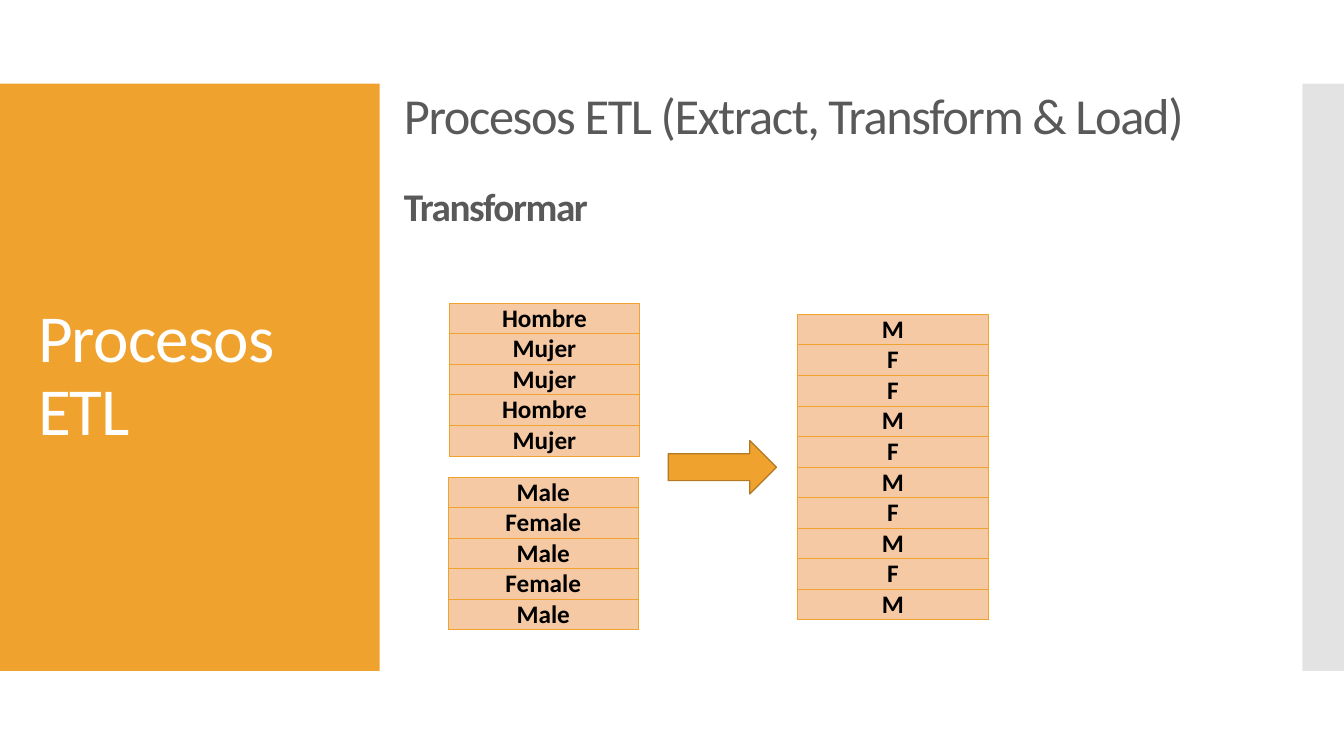
from lxml import etree
from pptx import Presentation
from pptx.dml.color import RGBColor
from pptx.enum import shapes, text
from pptx.oxml import ns
from pptx.util import Cm, Pt

ORANGE = RGBColor(0xF0, 0xA2, 0x2E)
DARK_ORANGE = RGBColor(0xB2, 0x78, 0x22)
PEACH = RGBColor(0xF5, 0xC9, 0xA4)
SILVER = RGBColor(0xC8, 0xC8, 0xC8)
GREY = RGBColor(0x59, 0x59, 0x59)
WHITE = RGBColor(0xFF, 0xFF, 0xFF)
BLACK = RGBColor(0, 0, 0)

TITLE = {"size": Pt(48), "color": WHITE, "spc": -60}
HEADING = {"size": Pt(36), "color": GREY, "spc": -100}
SUBHEADING = {"size": Pt(28), "color": GREY, "spc": -100, "bold": True}
CELL = {"size": Pt(18), "color": BLACK, "bold": True}

ROW_HEIGHT = 0.77
SPANISH = ["Hombre", "Mujer", "Mujer", "Hombre", "Mujer"]
ENGLISH = ["Male", "Female", "Male", "Female", "Male"]
CODES = list("MFFMFMFMFM")


def write(p, words, style):
    r = p.add_run()
    r.text = words
    r.font.name = "Calibri"
    for key, value in style.items():
        if key == "color":
            r.font.color.rgb = value
        elif key == "spc":
            r._r.get_or_add_rPr().set("spc", str(value))
        else:
            setattr(r.font, key, value)


def add_text(slide, box, words, style, **paragraph):
    tf = slide.shapes.add_textbox(*map(Cm, box)).text_frame
    tf.word_wrap = True
    p = tf.paragraphs[0]
    for key, value in paragraph.items():
        setattr(p, key, value)
    write(p, words, style)
    return tf


def add_filled(slide, kind, box, color):
    sp = slide.shapes.add_shape(kind, *map(Cm, box))
    sp.shadow.inherit = False
    sp.fill.solid()
    sp.fill.fore_color.rgb = color
    sp.line.fill.background()
    return sp


def add_side_panel(slide, left, top, width, height):
    add_filled(slide, shapes.MSO_SHAPE.RECTANGLE, (left, top, width, height), ORANGE)
    box = (left + 0.71, top + 1.02, width - 1, height - 2.04)
    tf = add_text(slide, box, "Procesos ETL", TITLE, line_spacing=0.9)
    tf.vertical_anchor = text.MSO_ANCHOR.MIDDLE


def add_edge_strip(slide, *box):
    sp = add_filled(slide, shapes.MSO_SHAPE.RECTANGLE, box, SILVER)
    color = sp.fill._xPr.find(".//" + ns.qn("a:srgbClr"))
    etree.SubElement(color, ns.qn("a:alpha"), val="50000")


def add_headings(slide, left, top, width, height):
    add_text(slide, (left, top, width - 0.97, 2.34),
             "Procesos ETL (Extract, Transform & Load)", HEADING, line_spacing=1.5)
    add_text(slide, (left, top + 3.23, width, height - 3.23), "Transformar",
             SUBHEADING, alignment=text.PP_ALIGN.JUSTIFY)


def add_borders(cell):
    tc_pr = cell._tc.get_or_add_tcPr()
    for i, side in enumerate(("lnL", "lnR", "lnT", "lnB")):
        ln = etree.Element(ns.qn("a:" + side), w=str(Pt(0.75)))
        fill = etree.SubElement(ln, ns.qn("a:solidFill"))
        etree.SubElement(fill, ns.qn("a:srgbClr"), val=str(ORANGE))
        tc_pr.insert(i, ln)


def add_value_column(slide, left, top, width, values):
    box = (left, top, width, ROW_HEIGHT * len(values))
    table = slide.shapes.add_table(len(values), 1, *map(Cm, box)).table
    table.first_row = table.horz_banding = False
    for row, value in zip(table.rows, values):
        row.height = Cm(ROW_HEIGHT)
        cell = row.cells[0]
        for side in ("left", "right", "top", "bottom"):
            setattr(cell, "margin_" + side, 0)
        cell.vertical_anchor = text.MSO_ANCHOR.MIDDLE
        cell.fill.solid()
        cell.fill.fore_color.rgb = PEACH
        add_borders(cell)
        p = cell.text_frame.paragraphs[0]
        p.alignment = text.PP_ALIGN.CENTER
        write(p, value, CELL)


def add_mapping(slide, left, top, column_width):
    """Two source columns, an arrow, and the column of unified codes."""
    add_value_column(slide, left + 0.03, top, column_width, SPANISH)
    add_value_column(slide, left, top + 4.38, column_width, ENGLISH)
    add_value_column(slide, left + 8.81, top + 0.28, column_width, CODES)
    arrow = add_filled(slide, shapes.MSO_SHAPE.RIGHT_ARROW,
                       (left + 5.55, top + 3.46, 2.73, 1.35), ORANGE)
    arrow.line.color.rgb = DARK_ORANGE
    arrow.line.width = Pt(0.85)


def main():
    prs = Presentation()
    prs.slide_width, prs.slide_height = Cm(33.87), Cm(19.05)
    slide = prs.slides.add_slide(prs.slide_layouts[6])
    add_side_panel(slide, 0, 2.11, 9.57, 14.8)
    add_edge_strip(slide, 32.82, 2.11, 1.05, 14.8)
    add_headings(slide, 9.93, 1.24, 22.97, 11.87)
    add_mapping(slide, 11.29, 7.64, 4.8)
    prs.save("out.pptx")


if __name__ == "__main__":
    main()
